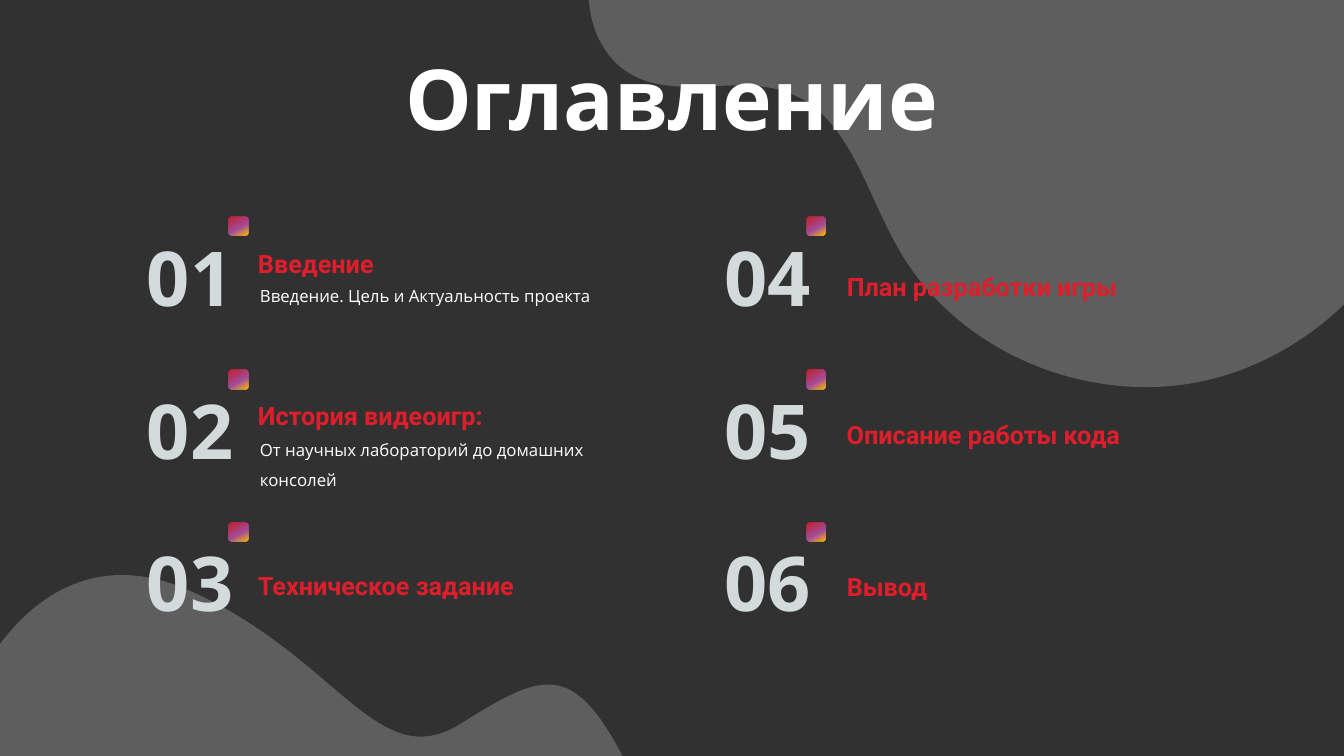
from lxml.etree import SubElement
from pptx import Presentation
from pptx.dml.color import RGBColor
from pptx.enum.shapes import MSO_SHAPE
from pptx.enum.text import MSO_ANCHOR, MSO_AUTO_SIZE, PP_ALIGN
from pptx.oxml.ns import qn
from pptx.util import Emu, Pt

PX = 9144  # EMU per px, 100 px to the inch
COLORS = {
    "background": "313131",
    "white": "FFFFFF",
    "heading": "DF1E2C",
    "number": "D2DADC",
    "violet": "A34D9D",
    "amber": "FFC000",
}
TITLE = {"size": Pt(60), "name": "Open Sans", "bold": True, "color": "white"}
NUMBER = {"size": Pt(54), "name": "Open Sans", "bold": True, "color": "number"}
HEADING = {"size": Pt(18), "name": "Roboto", "bold": True, "color": "heading"}
DETAIL = {"size": Pt(12), "name": "Open Sans", "bold": False, "color": "white"}

# Position in percent, colour, opacity in percent
MARKER_STOPS = [(0, "heading", 81), (58, "violet", 100), (100, "amber", 100)]
MARKER_ANGLE = 60
MARKER_SIZE = 19

ROW_TOPS = [224, 376, 527]
# Left of the number, left of the heading, then the entries:
# heading, its top and width, detail, its top and height
COLUMNS = [
    (136, 246, [
        ("Введение", 226, 272, "Введение. Цель и Актуальность проекта", 269, 37),
        ("История видеоигр:", 377, 420,
         "От научных лабораторий до домашних консолей", 421, 67),
        ("Техническое задание", 546, 314, None, 0, 0),
    ]),
    (709, 830, [
        ("План разработки игры", 249, 328, None, 0, 0),
        ("Описание работы кода", 396, 337, None, 0, 0),
        ("Вывод", 547, 221, None, 0, 0),
    ]),
]

# Start point, Bézier segments (two controls and an end), closing corner
LOWER_WAVE = (
    (618, 751),
    [((567, 654), (537, 668), (457, 718)),
     ((374, 770), (335, 651), (188, 586)),
     ((94, 544), (32, 596), (0, 639))],
    (0, 751),
)
UPPER_WAVE = (
    (584, 0),
    [((586, 29), (599, 57), (623, 72)),
     ((669, 101), (731, 73), (782, 92)),
     ((841, 114), (858, 188), (889, 243)),
     ((948, 352), (1087, 407), (1206, 375)),
     ((1254, 362), (1298, 336), (1333, 302))],
    (1333, 0),
)
WAVE_OPACITY = 22


def rgb(color):
    return RGBColor.from_string(COLORS[color])


def box(*lengths):
    return [Emu(length * PX) for length in lengths]


def add_opacity(color_element, percent):
    SubElement(color_element, qn("a:alpha"), val=str(percent * 1000))


def bend_lines(shape, curve_count):
    """Turn each three leading line segments of a freeform into one Bézier curve."""
    lines = list(shape._element.iter(qn("a:lnTo")))
    for first in range(0, curve_count * 3, 3):
        curve_lines = lines[first:first + 3]
        outline = curve_lines[0].getparent()
        curve = outline.makeelement(qn("a:cubicBezTo"))
        curve_lines[0].addprevious(curve)
        for line in curve_lines:
            curve.append(line[0])
            outline.remove(line)


def add_wave(slide, start, curves, corner):
    outline = slide.shapes.build_freeform(*start, scale=PX)
    points = [point for curve in curves for point in curve]
    outline.add_line_segments(points + [corner, start], close=True)
    wave = outline.convert_to_shape()
    bend_lines(wave, len(curves))
    wave.shadow.inherit = False
    wave.line.fill.background()
    wave.fill.solid()
    wave.fill.fore_color.rgb = rgb("white")
    solid_fill = wave._element.spPr.find(qn("a:solidFill"))
    add_opacity(solid_fill[0], WAVE_OPACITY)


def add_marker(slide, left, top):
    """Add the small rounded square with its three-colour gradient."""
    marker = slide.shapes.add_shape(
        MSO_SHAPE.ROUNDED_RECTANGLE, *box(left, top, MARKER_SIZE, MARKER_SIZE))
    marker.shadow.inherit = False
    marker.line.fill.background()
    marker.fill.gradient()
    gradient = marker._element.spPr.find(qn("a:gradFill"))
    for child in list(gradient):
        gradient.remove(child)
    stops = SubElement(gradient, qn("a:gsLst"))
    for position, color, opacity in MARKER_STOPS:
        stop = SubElement(stops, qn("a:gs"), pos=str(position * 1000))
        stop_color = SubElement(stop, qn("a:srgbClr"), val=COLORS[color])
        if opacity < 100:
            add_opacity(stop_color, opacity)
    SubElement(gradient, qn("a:lin"), ang=str(MARKER_ANGLE * 60000), scaled="0")


def add_text(slide, text, place, style, frame_format=None, **paragraph_format):
    frame = slide.shapes.add_textbox(*box(*place)).text_frame
    frame_values = {"word_wrap": True, "auto_size": MSO_AUTO_SIZE.SHAPE_TO_FIT_TEXT}
    frame_values.update(frame_format or {})
    paragraph = frame.paragraphs[0]
    run = paragraph.add_run()
    run.text = text
    font_values = {key: value for key, value in style.items() if key != "color"}
    for target, values in ((frame, frame_values), (paragraph, paragraph_format),
                           (run.font, font_values)):
        for name, value in values.items():
            setattr(target, name, value)
    run.font.color.rgb = rgb(style["color"])


def add_entry(slide, number, number_left, heading_left, row_top, entry):
    heading, heading_top, width, detail, detail_top, detail_height = entry
    add_marker(slide, number_left + 91, row_top - 9)
    if detail:
        add_text(slide, detail, (heading_left + 2, detail_top, 377, detail_height),
                 DETAIL, line_spacing=1.5)
    add_text(slide, heading, (heading_left, heading_top, width, 49),
             HEADING, line_spacing=1.5)
    add_text(slide, f"{number:02}", (number_left, row_top, 120, 101), NUMBER)


def main():
    deck = Presentation()
    deck.slide_width, deck.slide_height = box(1333, 750)
    slide = deck.slides.add_slide(deck.slide_layouts[6])
    slide.background.fill.solid()
    slide.background.fill.fore_color.rgb = rgb("background")

    for wave in (LOWER_WAVE, UPPER_WAVE):
        add_wave(slide, *wave)
    add_text(slide, "Оглавление", (222, 43, 888, 118), TITLE,
             {"auto_size": MSO_AUTO_SIZE.NONE, "vertical_anchor": MSO_ANCHOR.MIDDLE},
             alignment=PP_ALIGN.CENTER, line_spacing=0.9, space_before=Pt(10))

    number = 0
    for number_left, heading_left, entries in COLUMNS:
        for row_top, entry in zip(ROW_TOPS, entries):
            number += 1
            add_entry(slide, number, number_left, heading_left, row_top, entry)

    deck.save("out.pptx")


if __name__ == "__main__":
    main()
